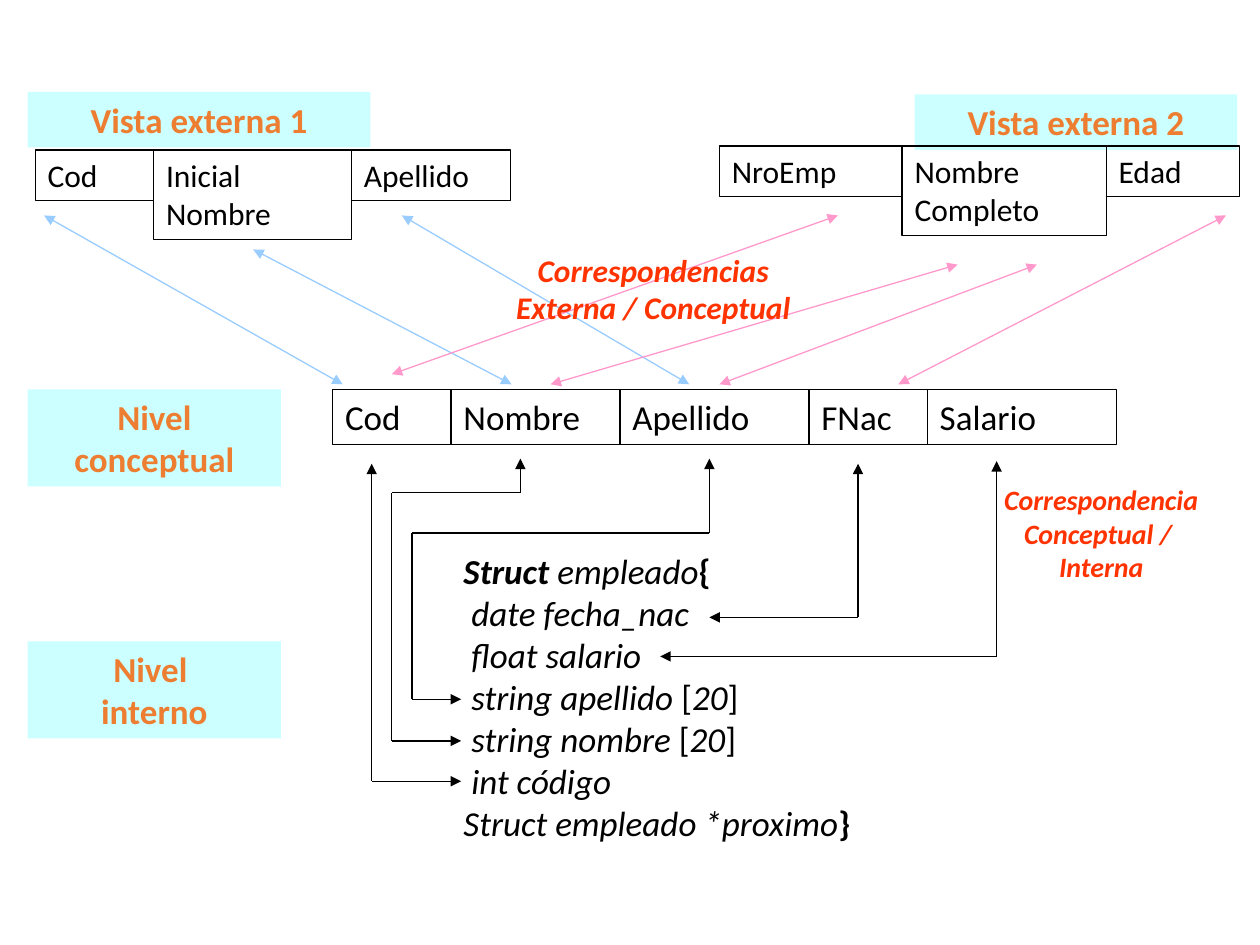
from lxml import etree
from pptx import Presentation
from pptx.dml.color import RGBColor
from pptx.enum.shapes import MSO_CONNECTOR, MSO_SHAPE
from pptx.enum.text import MSO_ANCHOR, PP_ALIGN
from pptx.oxml.ns import qn
from pptx.util import Inches, Pt

RECT = MSO_SHAPE.RECTANGLE
LINE = MSO_CONNECTOR.STRAIGHT
LEFT, MID = PP_ALIGN.LEFT, PP_ALIGN.CENTER
TOP = MSO_ANCHOR.TOP
COLORS = {
    "label": "CCFFFF", "orange": "ED7D31", "red": "FF3300",
    "blue": "99CCFF", "pink": "FF99CC", "black": "000000",
}


def write(shape, paras, size, color, align=LEFT, wrap=True):
    """Fill a shape with paragraphs, each a list of (text, style) runs; style holds b and i."""
    frame = shape.text_frame
    frame.word_wrap = wrap
    frame.vertical_anchor = TOP
    for n, runs in enumerate(paras):
        para = frame.paragraphs[0] if n == 0 else frame.add_paragraph()
        para.alignment = align
        for text, style in runs:
            run = para.add_run()
            run.text = text
            font = run.font
            font.name, font.size = "Calibri", Pt(size)
            font.bold, font.italic = "b" in style, "i" in style
            font.color.rgb = RGBColor.from_string(COLORS[color])


def link(start, end, color, head=False, tail=True):
    """Draw a line with an arrowhead at its start (head) and end (tail) as asked."""
    line = slide.shapes.add_connector(LINE, *map(Inches, start + end))
    line.line.color.rgb = RGBColor.from_string(COLORS[color])
    line.line.width = Pt(0.75)
    for tag, on in (("a:headEnd", head), ("a:tailEnd", tail)):
        if on:
            etree.SubElement(line.line._get_or_add_ln(), qn(tag), type="triangle")
    etree.SubElement(line._element.spPr, qn("a:effectLst"))


deck = Presentation()
deck.slide_width, deck.slide_height = Inches(10), Inches(7.5)
slide = deck.slides.add_slide(deck.slide_layouts[6])

# Level labels
labels = [
    (0.22, 0.73, 2.72, 0.44, ["Vista externa 1"]),
    (7.26, 0.75, 2.56, 0.44, ["Vista externa 2"]),
    (0.22, 3.09, 2.01, 0.77, ["Nivel conceptual"]),
    (0.22, 5.09, 2.01, 0.77, ["Nivel ", "interno"]),
]
for *box, lines in labels:
    label = slide.shapes.add_shape(RECT, *map(Inches, box))
    label.shadow.inherit = False
    label.fill.solid()
    label.fill.fore_color.rgb = RGBColor.from_string(COLORS["label"])
    label.line.fill.background()
    write(label, [[(text, "b")] for text in lines], 20, "orange", MID)

# Records: left, top, text size, then the name, width and height of each field
records = [
    (2.64, 3.09, 20, [("Cod", 0.94, 0.44), ("Nombre", 1.34, 0.44), ("Apellido", 1.5, 0.44),
                      ("FNac", 0.94, 0.44), ("Salario", 1.5, 0.44)]),
    (5.71, 1.16, 18, [("NroEmp", 1.45, 0.4), ("Nombre Completo", 1.62, 0.71),
                      ("Edad", 1.06, 0.4)]),
    (0.28, 1.19, 18, [("Cod", 0.94, 0.4), ("Inicial Nombre", 1.57, 0.71),
                      ("Apellido", 1.26, 0.4)]),
]
for left, top, size, fields in records:
    for name, width, height in fields:
        field = slide.shapes.add_shape(RECT, *map(Inches, (left, top, width, height)))
        field.shadow.inherit = False
        field.fill.background()
        field.line.color.rgb = RGBColor.from_string(COLORS["black"])
        field.line.width = Pt(0.75)
        write(field, [[(name, "")]], size, "black")
        left += width

# External to conceptual
pairs = {
    "blue": [((0.35, 1.71), (2.72, 3.05)), ((2.01, 1.98), (4.06, 3.05)),
             ((3.19, 1.71), (5.47, 3.05))],
    "pink": [((6.65, 1.71), (3.11, 2.97)), ((7.6, 2.1), (4.37, 3.05)),
             ((8.23, 2.1), (5.71, 3.05)), ((9.73, 1.71), (7.13, 3.05))],
}
for color, ends in pairs.items():
    for start, end in ends:
        link(start, end, color, head=True)

# Conceptual to internal: each route has an arrowhead at both ends
routes = [
    [(2.95, 3.68), (2.95, 6.2), (3.66, 6.2)],
    [(4.13, 3.64), (4.13, 3.91), (3.11, 3.91), (3.11, 5.88), (3.66, 5.88)],
    [(5.63, 3.64), (5.63, 4.23), (3.27, 4.23), (3.27, 5.55), (3.66, 5.55)],
    [(6.81, 3.68), (6.81, 4.9), (5.63, 4.9)],
    [(7.91, 3.66), (7.91, 5.21), (5.24, 5.21)],
]
for route in routes:
    last = len(route) - 2
    for n, (start, end) in enumerate(zip(route, route[1:])):
        link(start, end, "black", head=n == 0, tail=n == last)

# Captions and the stored structure
size20 = [(" [", ""), ("20", "i"), ("]", "")]
code = [
    [("Struct", "bi"), (" empleado", "i"), ("{", "b")],
    [(" date fecha_nac", "i")],
    [(" float salario", "i")],
    [(" string apellido", "i")] + size20,
    [(" string nombre", "i")] + size20,
    [(" int código", "i")],
    [("Struct empleado *proximo", "i"), ("}", "b")],
]
inner = [[(text, "bi")] for text in ("Correspondencia", "Conceptual / ", "Interna")]
outer = [[(text, "bi")] for text in ("Correspondencias", "Externa / Conceptual")]
notes = [
    ((7.54, 3.78, 2.4, 0.91), inner, 16, "red", MID, True),
    ((3.58, 4.31, 3.59, 2.43), code, 20, "black", LEFT, True),
    ((3.98, 1.94, 2.41, 0.7), outer, 18, "red", MID, False),
]
for box, *style in notes:
    write(slide.shapes.add_textbox(*map(Inches, box)), *style)

deck.save("out.pptx")
